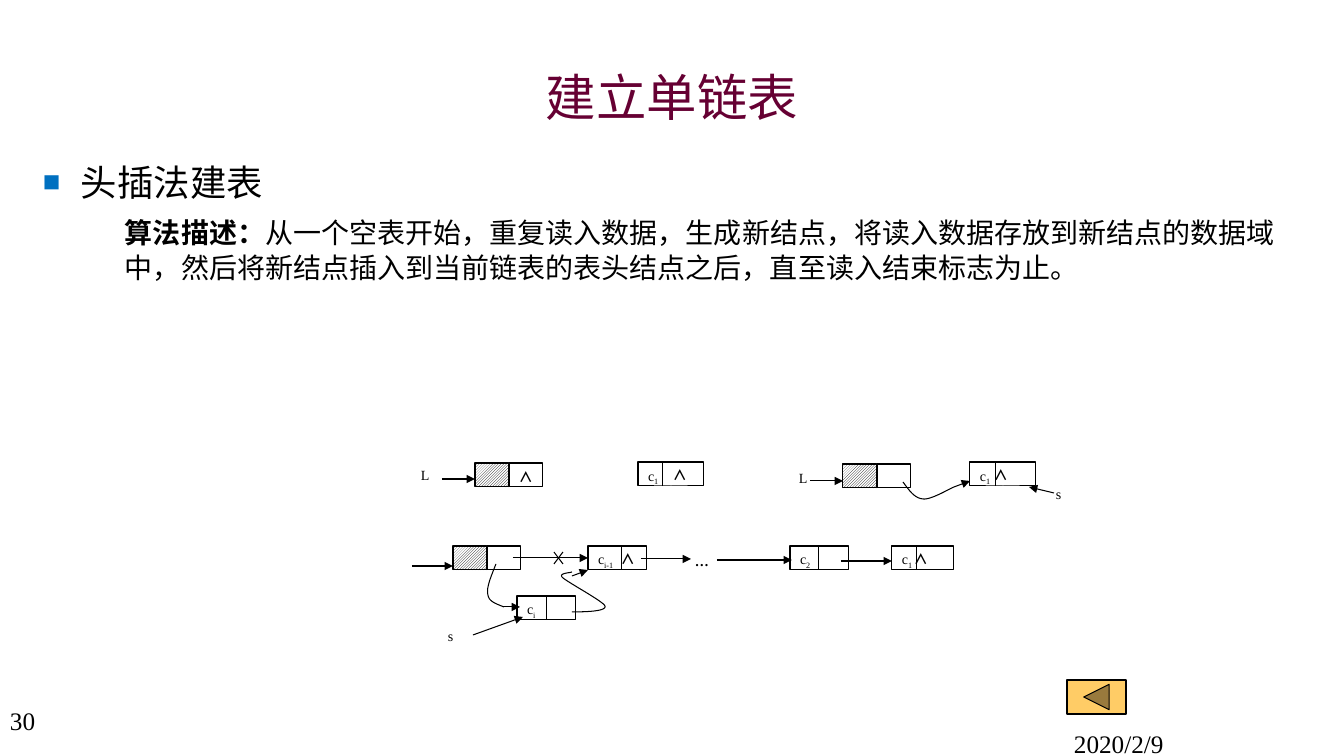
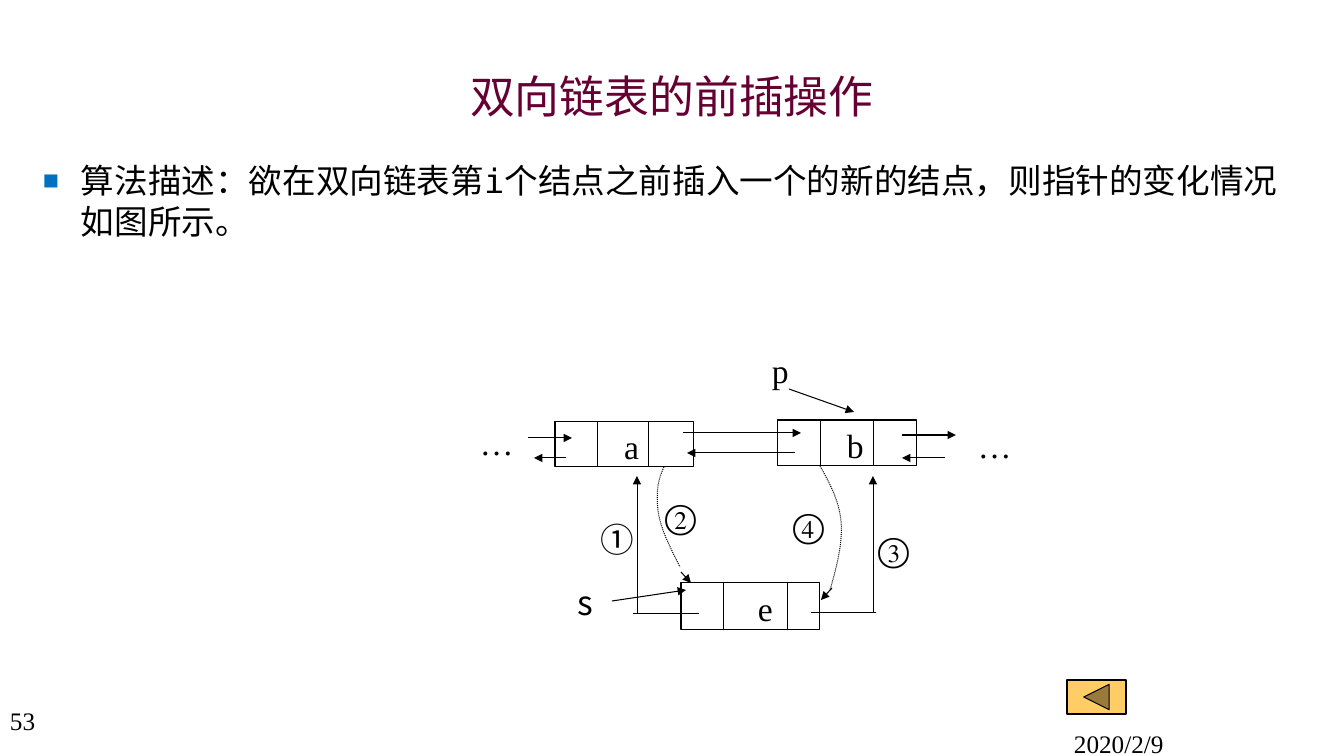
from lxml import etree
from pptx import Presentation
from pptx import util as u
from pptx.dml.color import RGBColor
from pptx.enum import dml, shapes, text
from pptx.oxml.ns import qn

PX = 9144000 / 1008  # EMU in one px
BLACK = RGBColor(0x00, 0x00, 0x00)
WHITE = RGBColor(0xFF, 0xFF, 0xFF)
MAROON = RGBColor(0x66, 0x00, 0x33)
BLUE = RGBColor(0x00, 0x70, 0xC0)
AMBER = RGBColor(0xFF, 0xCC, 0x66)
HAN, SERIF, MONO = "Noto Sans CJK SC", "Times New Roman", "DejaVu Sans Mono"
CURVE_STEPS = 16


def add_runs(paragraph, runs, color=BLACK):
    """Each run is text, size, font and optionally bold and baseline."""
    for content, size, font, *extra in runs:
        run = paragraph.add_run()
        run.text = content
        run.font.size, run.font.name = u.Pt(size), font
        run.font.color.rgb = color
        run.font.bold = bool(extra and extra[0])
        properties = run._r.get_or_add_rPr()
        if len(extra) > 1:
            properties.set("baseline", str(extra[1]))
        etree.SubElement(properties, qn("a:ea"), typeface=font)


def add_box(slide, place, runs=(), kind=None, inset=10):
    """Add a text box, or an outlined shape when a kind is given."""
    place = [round(value * PX) for value in place]
    if kind is None:
        shape = slide.shapes.add_textbox(*place)
    else:
        shape = slide.shapes.add_shape(kind, *place)
        shape.shadow.inherit = False
        shape.fill.solid()
        shape.fill.fore_color.rgb = WHITE
        shape.line.color.rgb = BLACK
        shape.line.width = u.Pt(0.75)
    frame = shape.text_frame
    frame.word_wrap = True
    frame.vertical_anchor = text.MSO_ANCHOR.TOP
    frame.margin_left = round(inset * PX)
    frame.margin_right = round(10 * PX)
    frame.margin_top = frame.margin_bottom = round(5 * PX)
    frame.paragraphs[0].alignment = text.PP_ALIGN.LEFT
    add_runs(frame.paragraphs[0], runs)
    return shape


RECTANGLE = shapes.MSO_SHAPE.RECTANGLE
WEDGE = ("∧", 10, HAN, True)

# Nodes: place, runs, text inset, divider offsets
# Strokes: points (two for a line, more for a Bezier curve), width, dotted, arrow
head_insert = {
    "number": "30",
    "title": ("建立单链表", 36),
    # Paragraphs: runs, line pitch, bulleted
    "body": [
        ([("头插法建表", 26, HAN)], 31, True),
        ([("算法描述：", 20, HAN, True),
          ("从一个空表开始，重复读入数据，生成新结点，将读入数据存放到新结点的数据域中，"
           "然后将新结点插入到当前链表的表头结点之后，直至读入结束标志为止。", 20, HAN)],
         25, False),
    ],
    "headers": [(475, 463, [WEDGE]), (843, 464, []), (453, 546, [])],
    "nodes": [
        ((left, top, width, 24),
         [("c", 10, SERIF), (index, 10, SERIF, False, -25000)], 10, [divider])
        for left, top, width, index, divider in [
            (638, 462, 66, "1", 25), (970, 462, 66, "1", 26),
            (588, 546, 59, "i-1", 34), (790, 546, 59, "2", 29),
            (892, 546, 62, "1", 25), (517, 596, 59, "i", 30)]
    ],
    "strokes": [
        (points, 0.75, False, True) for points in [
            [(442, 479), (475, 479)], [(810, 481), (843, 481)],
            [(954, 487), (970, 481)], [(1054, 493), (1029, 487)],
            [(412, 566), (453, 566)], [(513, 558), (588, 558)],
            [(641, 559), (691, 559)], [(717, 560), (792, 560)],
            [(841, 561), (892, 561)], [(503, 607), (520, 607)],
            [(572, 576), (588, 570)], [(473, 635), (523, 617)]]
    ] + [
        (points, 0.75, False, False) for points in [
            [(563, 552), (554, 564)], [(554, 552), (563, 564)],
            [(903, 482), (909, 490), (914, 498), (923, 499),
             (931, 500), (949, 489), (954, 487)],
            [(496, 564), (491, 577), (486, 588), (488, 595),
             (489, 602), (497, 604), (504, 607)],
            [(572, 612), (589, 612), (607, 611), (605, 606), (604, 602),
             (569, 583), (563, 578), (557, 573), (571, 573), (572, 572)]]
    ],
    # Labels: left, top, run
    "labels": [
        (411, 462, ("L", 10, SERIF)), (789, 465, ("L", 10, SERIF)),
        (1046, 481, ("s", 10, SERIF)), (438, 623, ("s", 10, SERIF)),
        (685, 548, ("…", 10, SERIF, True)),
        (663, 462, WEDGE), (984, 462, WEDGE), (611, 546, WEDGE), (904, 546, WEDGE),
    ],
}

double_insert = {
    "number": "53",
    "title": ("双向链表的前插操作", 32),
    "body": [
        ([("算法描述：", 24, MONO), ("欲在双向链表第", 24, HAN), ("i", 24, MONO),
          ("个结点之前插入一个的新的结点，则指针的变化情况如图所示。", 24, HAN)],
         29, True),
    ],
    "headers": [],
    "nodes": [
        ((left, top, 139, height), [(name, 24, SERIF)], inset, dividers)
        for left, top, height, name, inset, dividers in [
            (555, 421, 46, "a", 69, [43, 94]),
            (778, 420, 46, "b", 69, [43, 96]),
            (681, 583, 47, "e", 77, [43, 107])]
    ],
    "strokes": [
        (points, 0.75, False, True) for points in [
            [(681, 572), (691, 583)], [(832, 588), (821, 600)],
            [(612, 601), (686, 590)], [(902, 435), (956, 435)],
            [(945, 458), (902, 458)], [(789, 389), (854, 412)],
            [(528, 438), (572, 438)], [(566, 458), (534, 458)],
            [(795, 453), (687, 453)], [(683, 433), (801, 433)]]
    ] + [
        (points, 0.75, True, False) for points in [
            [(664, 467), (658, 480), (656, 491), (658, 510),
             (660, 528), (670, 547), (680, 567)],
            [(820, 466), (829, 482), (839, 500), (841, 521),
             (843, 542), (837, 566), (830, 590)]]
    ] + [
        ([(637, 613), (637, 476)], 0.25, True, True),
        ([(873, 612), (873, 476)], 0.25, True, True),
        ([(698, 613), (633, 613)], 0.25, True, False),
        ([(811, 612), (876, 612)], 0.25, True, False),
    ],
    "labels": [
        (568, 577, ("s", 24, HAN)), (762, 345, ("p", 24, SERIF)),
        (591, 514, ("①", 24, HAN)), (655, 491, ("②", 24, SERIF)),
        (868, 524, ("③", 24, SERIF)), (783, 500, ("④", 24, SERIF)),
        (470, 417, ("…", 24, SERIF)), (968, 420, ("…", 24, SERIF)),
    ],
}

presentation = Presentation()
presentation.slide_width = round(1344 * PX)
presentation.slide_height = round(756 * PX)

for content in (head_insert, double_insert):
    slide = presentation.slides.add_slide(presentation.slide_layouts[5])

    # Title
    title = slide.shapes.title
    title.left, title.top, title.width, title.height = [
        round(value * PX) for value in (101, 58, 1142, 76)]
    title.text_frame.vertical_anchor = text.MSO_ANCHOR.MIDDLE
    paragraph = title.text_frame.paragraphs[0]
    paragraph.alignment = text.PP_ALIGN.CENTER
    add_runs(paragraph, [(*content["title"], HAN)], MAROON)

    # Body text
    frame = add_box(slide, (33, 155, 1277, 250)).text_frame
    for number, (runs, pitch, bulleted) in enumerate(content["body"]):
        paragraph = frame.add_paragraph() if number else frame.paragraphs[0]
        paragraph.line_spacing = u.Pt(pitch)
        if number:
            paragraph.space_before = u.Pt(8)
        properties = paragraph._p.get_or_add_pPr()
        properties.set("marL", str(round((38 if bulleted else 82) * PX)))
        properties.set("indent", str(round((-38 if bulleted else 0) * PX)))
        if bulleted:
            bullet_color = etree.SubElement(properties, qn("a:buClr"))
            etree.SubElement(bullet_color, qn("a:srgbClr"), val=str(BLUE))
            etree.SubElement(properties, qn("a:buSzPct"), val="80000")
            etree.SubElement(properties, qn("a:buFont"), typeface=SERIF)
            etree.SubElement(properties, qn("a:buChar"), char="■")
        add_runs(paragraph, runs)

    # Date, slide number and back button
    add_box(slide, (1064, 723, 280, 33), [("2020/2/9", 18, SERIF)])
    add_box(slide, (0, 700, 87, 53), [(content["number"], 18, SERIF)])
    button = add_box(slide, (1067, 680, 59, 34),
                     kind=shapes.MSO_SHAPE.ACTION_BUTTON_BACK_OR_PREVIOUS)
    button.fill.fore_color.rgb = AMBER

    # Header nodes: a hatched cell and a pointer cell
    for left, top, runs in content["headers"]:
        hatched = add_box(slide, (left, top, 34, 24), kind=RECTANGLE)
        hatched.fill.patterned()
        hatched.fill.pattern = dml.MSO_PATTERN.LIGHT_UPWARD_DIAGONAL
        hatched.fill.fore_color.rgb = BLACK
        hatched.fill.back_color.rgb = WHITE
        add_box(slide, (left + 34, top, 34, 24), runs, RECTANGLE)

    # Data nodes
    strokes = list(content["strokes"])
    nodes = []
    for place, runs, inset, dividers in content["nodes"]:
        nodes.append((add_box(slide, place, runs, RECTANGLE, inset), place))
        left, top, width, height = place
        for offset in dividers:
            x = left + offset
            strokes.append(([(x, top), (x, top + height)], 0.75, False, False))

    # Dividers, pointers and curves
    for points, weight, dotted, arrow in strokes:
        (x1, y1), (x2, y2) = points[0], points[-1]
        if len(points) == 2:
            stroke = slide.shapes.add_connector(
                shapes.MSO_CONNECTOR.STRAIGHT,
                *[round(value * PX) for value in (x1, y1, x2, y2)])
            for node, (left, top, width, height) in nodes:
                if arrow and x2 == left and y2 == top + height / 2:
                    stroke.end_connect(node, 1)
        else:
            builder = slide.shapes.build_freeform(round(x1 * PX), round(y1 * PX))
            vertices = []
            for first in range(0, len(points) - 1, 3):
                a, b, c, d = points[first:first + 4]
                for step in range(1, CURVE_STEPS + 1):
                    t = step / CURVE_STEPS
                    s = 1 - t
                    vertices.append([
                        round(PX * (s**3 * a[i] + 3 * s * s * t * b[i]
                                    + 3 * s * t * t * c[i] + t**3 * d[i]))
                        for i in (0, 1)])
            builder.add_line_segments(vertices, close=False)
            stroke = builder.convert_to_shape()
            stroke.fill.background()
        stroke.line.color.rgb = BLACK
        stroke.line.width = u.Pt(weight)
        if dotted:
            stroke.line.dash_style = dml.MSO_LINE.ROUND_DOT
        if arrow:
            etree.SubElement(stroke.line._get_or_add_ln(), qn("a:tailEnd"), type="triangle")
        etree.SubElement(stroke._element.spPr, qn("a:effectLst"))

    # Labels
    for left, top, run in content["labels"]:
        size = 57 if run[1] == 24 else 40
        add_box(slide, (left, top, size, size), [run])

presentation.save("out.pptx")
